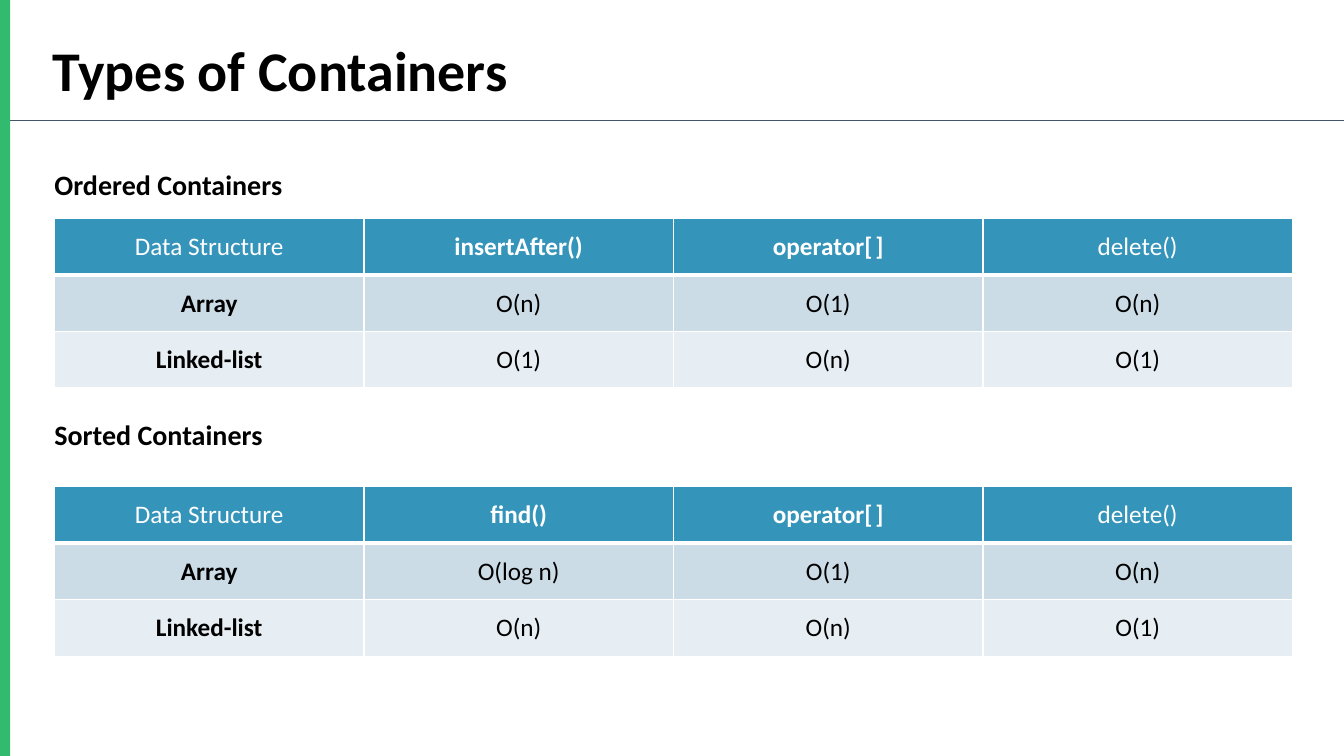
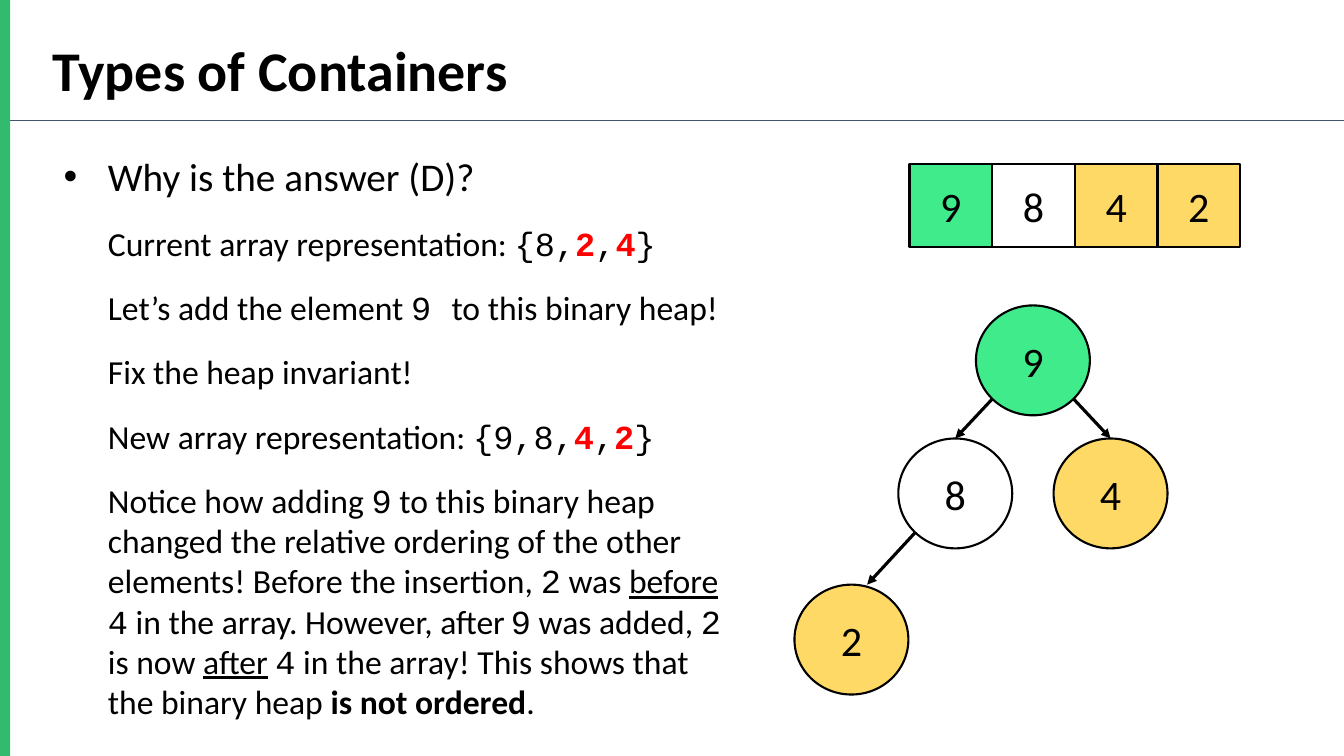
from dataclasses import dataclass

from lxml import etree
from pptx import Presentation
from pptx.dml.color import RGBColor
from pptx.enum import shapes, text
from pptx.oxml import ns
from pptx.util import Inches, Pt


@dataclass(frozen=True)
class Theme:
    font: str = "Calibri"
    code_font: str = "Courier New"
    black: str = "000000"
    white: str = "FFFFFF"
    red: str = "FF0000"
    band: str = "32BA6E"
    rule: str = "44546A"
    header: str = "3494BA"
    rows: tuple = ("CCDCE6", "E7EEF3")
    green: str = "3FEB8A"
    yellow: str = "FFD966"
    title: int = 40
    node: int = 30
    lead: int = 28
    body: int = 24
    heading: int = 20
    cell: int = 18


THEME = Theme()
TITLE_ONLY, TITLE_AND_BODY = 5, 1
MARGIN = 0.54
NODE_WIDTH, NODE_HEIGHT = 1.13, 1.09
CODE = {"font": THEME.code_font}
RED_CODE = {"font": THEME.code_font, "color": THEME.red, "bold": True}
UNDERLINED = {"underline": True}


def rgb(color):
    return RGBColor.from_string(color)


# Text
def add_text(para, content, size=THEME.body, color=THEME.black, bold=False,
             font=THEME.font, underline=False):
    span = para.add_run()
    span.text = content
    span.font.size = Pt(size)
    span.font.color.rgb = rgb(color)
    span.font.bold = bold
    span.font.name = font
    span.font.underline = underline


def add_spans(para, spans, **style):
    """Add plain strings, or (string, format) pairs, to a paragraph."""
    for span in spans:
        content, extra = (span, {}) if isinstance(span, str) else span
        add_text(para, content, **{**style, **extra})


def set_frame(frame, anchor, inset_x=0.1, inset_y=0.1):
    frame.word_wrap = True
    frame.auto_size = text.MSO_AUTO_SIZE.NONE
    frame.vertical_anchor = anchor
    frame.margin_left = frame.margin_right = Inches(inset_x)
    frame.margin_top = frame.margin_bottom = Inches(inset_y)


def set_indent(para, left, first, bullet=None):
    properties = para._p.get_or_add_pPr()
    properties.set("marL", str(Inches(left)))
    properties.set("indent", str(Inches(first)))
    if bullet:
        font = etree.SubElement(properties, ns.qn("a:buFont"))
        font.set("typeface", "Arial")
        etree.SubElement(properties, ns.qn("a:buChar")).set("char", bullet)
    else:
        etree.SubElement(properties, ns.qn("a:buNone"))


def place(box, left, top, width, height):
    box.left, box.top = Inches(left), Inches(top)
    box.width, box.height = Inches(width), Inches(height)


# Shapes and lines
def add_box(page, kind, left, top, width, height, fill, line=THEME.black):
    box = page.shapes.add_shape(kind, Inches(left), Inches(top),
                                Inches(width), Inches(height))
    box.shadow.inherit = False
    box.fill.solid()
    box.fill.fore_color.rgb = rgb(fill)
    if line:
        box.line.color.rgb = rgb(line)
        box.line.width = Pt(1.5)
    else:
        box.line.fill.background()
    return box


def add_value(page, kind, value, *bounds, fill):
    box = add_box(page, kind, *bounds, fill)
    set_frame(box.text_frame, text.MSO_ANCHOR.MIDDLE)
    para = box.text_frame.paragraphs[0]
    para.alignment = text.PP_ALIGN.CENTER
    add_text(para, value, size=THEME.node)
    return box


def add_line(page, start, end, color=THEME.black, width=2.25, arrow=True):
    line = page.shapes.add_connector(
        shapes.MSO_CONNECTOR.STRAIGHT, *map(Inches, start + end))
    line.line.color.rgb = rgb(color)
    line.line.width = Pt(width)
    if arrow:
        tail = etree.SubElement(line.line._get_or_add_ln(), ns.qn("a:tailEnd"))
        tail.set("type", "triangle")
    etree.SubElement(line.element.spPr, ns.qn("a:effectLst"))
    return line


# Shared page parts
def decorate_master(deck, page):
    """Draw the side band and title rule, then move them to the master."""
    band = add_box(page, shapes.MSO_SHAPE.RECTANGLE, 0, 0, 0.1, 7.5,
                   THEME.band, line=None)
    rule = add_line(page, (0.1, 1.2), (13.33, 1.2), THEME.rule, 0.75, arrow=False)
    tree = deck.slide_master.shapes.element
    for number, part in enumerate((rule, band)):
        part.element.xpath(".//p:cNvPr")[0].set("id", str(100 + number))
        tree.insert(2 + number, part.element)


def add_page(deck, layout, title):
    page = deck.slides.add_slide(deck.slide_layouts[layout])
    box = page.shapes.title
    place(box, 0.42, 0.25, 12.39, 1.21)
    set_frame(box.text_frame, text.MSO_ANCHOR.TOP)
    para = box.text_frame.paragraphs[0]
    para.alignment = text.PP_ALIGN.LEFT
    add_text(para, title, size=THEME.title, bold=True)
    return page


# Tables
def set_borders(cell, top=1, bottom=1):
    properties = cell._tc.get_or_add_tcPr()
    widths = {"lnL": 1, "lnR": 1, "lnT": top, "lnB": bottom}
    for position, (side, width) in enumerate(widths.items()):
        border = etree.Element(ns.qn("a:" + side), w=str(Pt(width)))
        fill = etree.SubElement(border, ns.qn("a:solidFill"))
        etree.SubElement(fill, ns.qn("a:srgbClr")).set("val", THEME.white)
        properties.insert(position, border)


def add_cost_table(page, top, rows):
    width, height = 3.07, 0.56
    table = page.shapes.add_table(
        len(rows), len(rows[0]), Inches(MARGIN), Inches(top),
        Inches(width * len(rows[0])), Inches(height * len(rows))).table
    table.horz_banding = False
    for column in table.columns:
        column.width = Inches(width)
    for r, row in enumerate(rows):
        table.rows[r].height = Inches(height)
        for c, spans in enumerate(row):
            cell = table.cell(r, c)
            cell.vertical_anchor = text.MSO_ANCHOR.MIDDLE
            cell.fill.solid()
            cell.fill.fore_color.rgb = rgb(
                THEME.rows[(r - 1) % 2] if r else THEME.header)
            set_borders(cell, top=3 if r == 1 else 1, bottom=1 if r else 3)
            para = cell.text_frame.paragraphs[0]
            para.alignment = text.PP_ALIGN.CENTER
            add_spans(para, [spans] if isinstance(spans, str) else spans,
                      size=THEME.cell,
                      color=THEME.black if r else THEME.white,
                      bold=c == 0 if r else c in (1, 2))


def add_heading(page, top, content):
    box = page.shapes.add_textbox(Inches(MARGIN), Inches(top), Inches(11), Inches(0.4))
    set_frame(box.text_frame, text.MSO_ANCHOR.MIDDLE, 0, 0)
    add_text(box.text_frame.paragraphs[0], content, size=THEME.heading, bold=True)


# Page contents
def fill_cost_page(page):
    index_operator = ["operator[", (" ", {"size": 9}), "]"]
    sections = (
        ("Ordered Containers", 1.63, 2.17, "insertAfter()", "O(n)", "O(1)"),
        ("Sorted Containers", 4.11, 4.83, "find()", "O(log n)", "O(n)"),
    )
    for heading, heading_top, table_top, method, array_cost, list_cost in sections:
        add_heading(page, heading_top, heading)
        add_cost_table(page, table_top, [
            ["Data Structure", method, index_operator, "delete()"],
            ["Array", array_cost, "O(1)", "O(n)"],
            ["Linked-list", list_cost, "O(n)", "O(1)"],
        ])


def array_spans(label, first, third, fourth):
    return [label, (first, CODE), (third, RED_CODE), (",", CODE),
            (fourth, RED_CODE), ("}", CODE)]


def fill_explanation(page):
    lines = [
        ["Why is the answer (D)?"],
        array_spans("Current array representation: ", "{8,", "2", "4"),
        ["Let’s add the element ", ("9 ", CODE), "to this binary heap!"],
        ["Fix the heap invariant!"],
        array_spans("New array representation: ", "{9,8,", "4", "2"),
        ["Notice how adding ", ("9", CODE),
         " to this binary heap changed the relative ordering of the other "
         "elements! Before the insertion, ", ("2", CODE), " was ",
         ("before", UNDERLINED), " ", ("4", CODE),
         " in the array. However, after", (" ", {"size": 18}), ("9", CODE),
         " was added, ", ("2", CODE), " is now ", ("after", UNDERLINED), " ",
         ("4", CODE), " in the array! This shows that the binary heap ",
         ("is not ordered", {"bold": True}), "."],
    ]
    box = page.placeholders[1]
    place(box, 0.47, 1.39, 6.83, 5.92)
    frame = box.text_frame
    set_frame(frame, text.MSO_ANCHOR.TOP, 0.1, 0.05)
    for number, spans in enumerate(lines):
        lead = number == 0
        para = frame.paragraphs[0] if lead else frame.add_paragraph()
        para.line_spacing = 1.15 if lead else 1.0
        para.space_before = Pt(0 if lead else 17)
        set_indent(para, 0.5, -0.44 if lead else 0, "•" if lead else None)
        add_spans(para, spans, size=THEME.lead if lead else THEME.body)


def draw_heap(page):
    fills = {"9": THEME.green, "8": THEME.white, "4": THEME.yellow, "2": THEME.yellow}
    corners = {"9": (9.68, 3.03), "8": (8.91, 4.35), "4": (10.45, 4.35), "2": (7.88, 5.8)}
    side = 0.82
    nodes = {}
    for position, (value, fill) in enumerate(fills.items()):
        add_value(page, shapes.MSO_SHAPE.RECTANGLE, value,
                  9.02 + side * position, 1.63, side, side, fill=fill)
        nodes[value] = add_value(page, shapes.MSO_SHAPE.OVAL, value, *corners[value],
                                 NODE_WIDTH, NODE_HEIGHT, fill=fill)
    for start, end, child in (((9.84, 3.96), (9.48, 4.35), "8"),
                              ((10.65, 3.96), (11.01, 4.35), "4")):
        add_line(page, start, end).end_connect(nodes[child], 0)
    add_line(page, (9.08, 5.28), (8.6, 5.8))


def main():
    deck = Presentation()
    deck.slide_width, deck.slide_height = Inches(13.33), Inches(7.5)
    title = "Types of Containers"

    cost_page = add_page(deck, TITLE_ONLY, title)
    decorate_master(deck, cost_page)
    fill_cost_page(cost_page)

    heap_page = add_page(deck, TITLE_AND_BODY, title)
    fill_explanation(heap_page)
    draw_heap(heap_page)
    deck.save("out.pptx")


if __name__ == "__main__":
    main()
